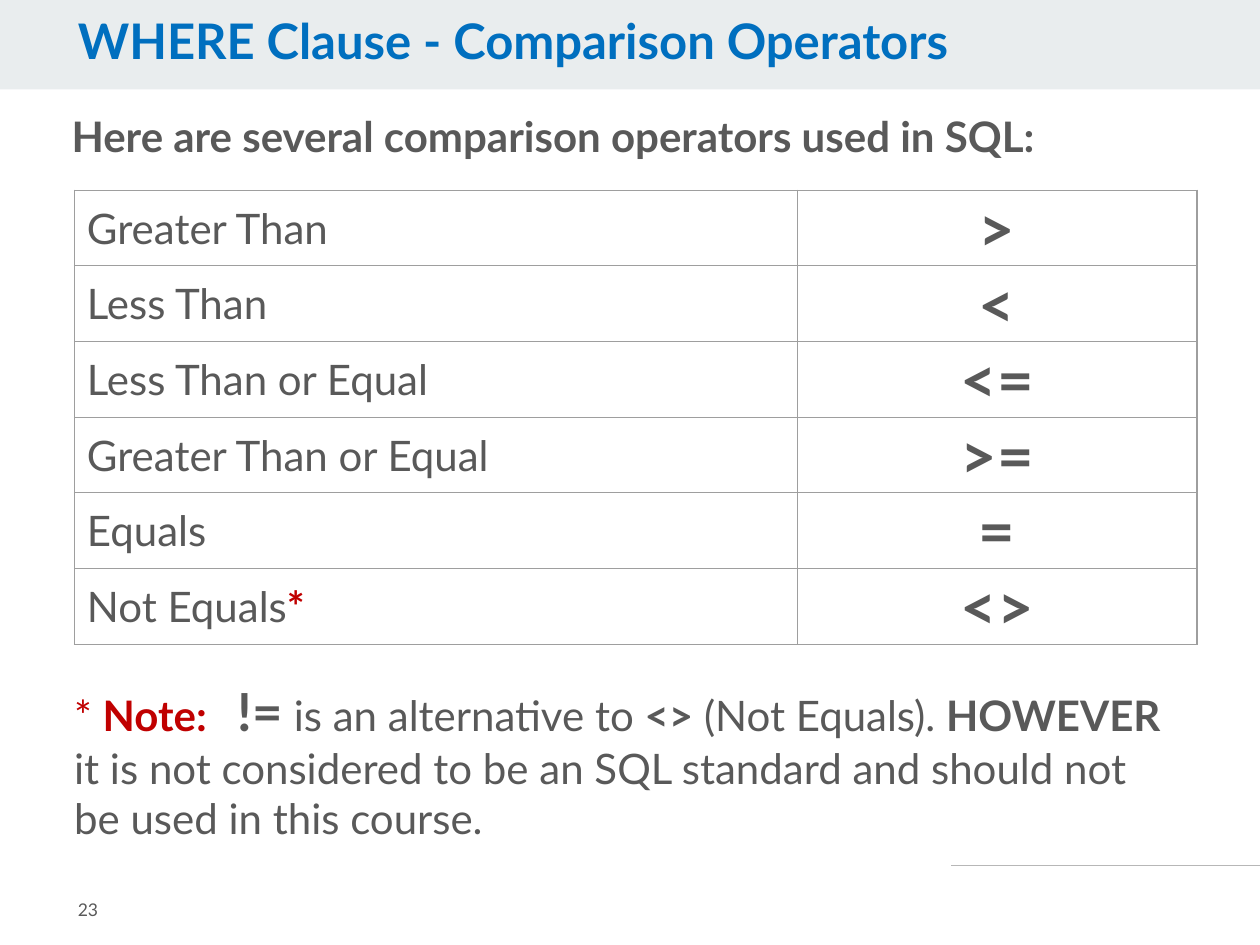
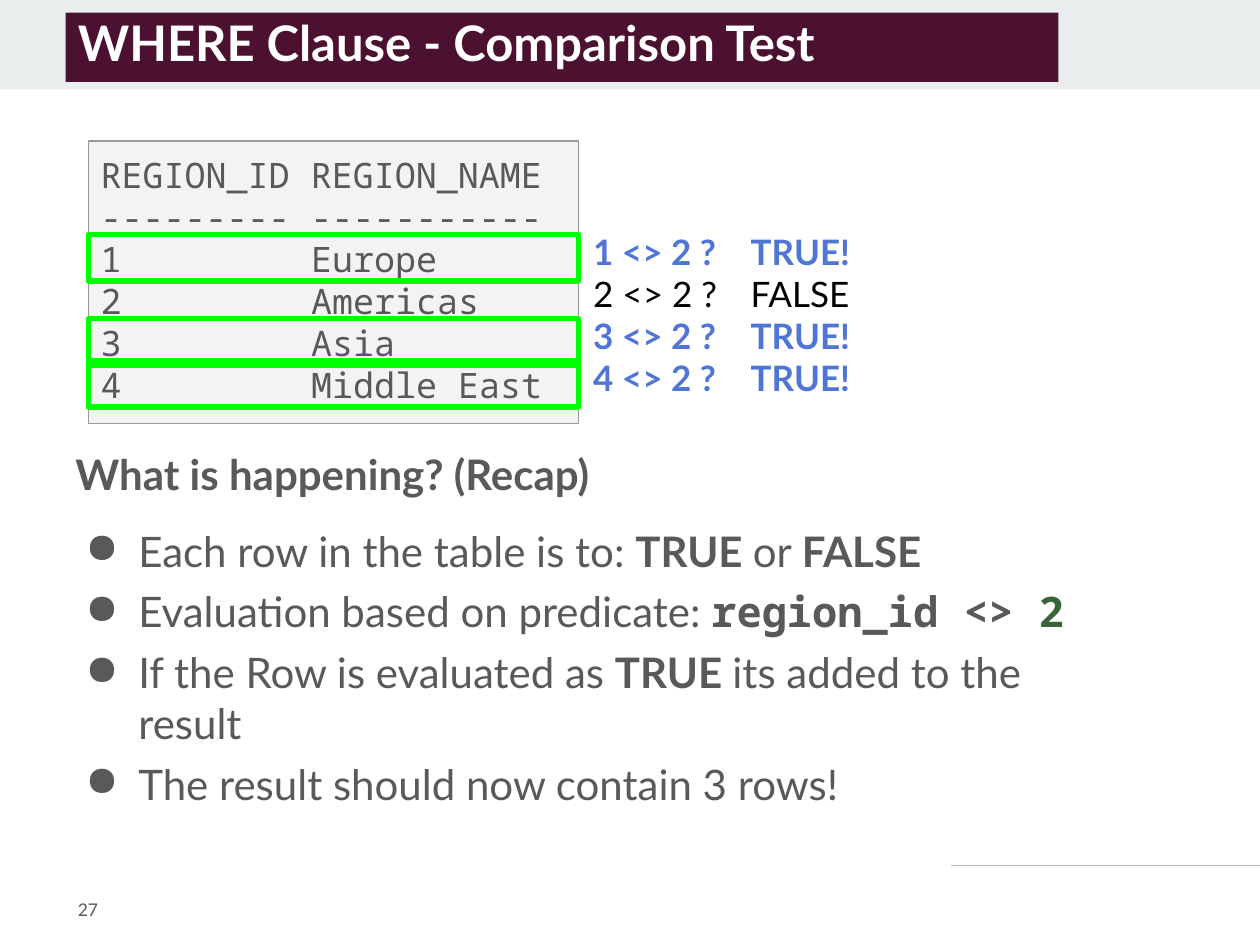
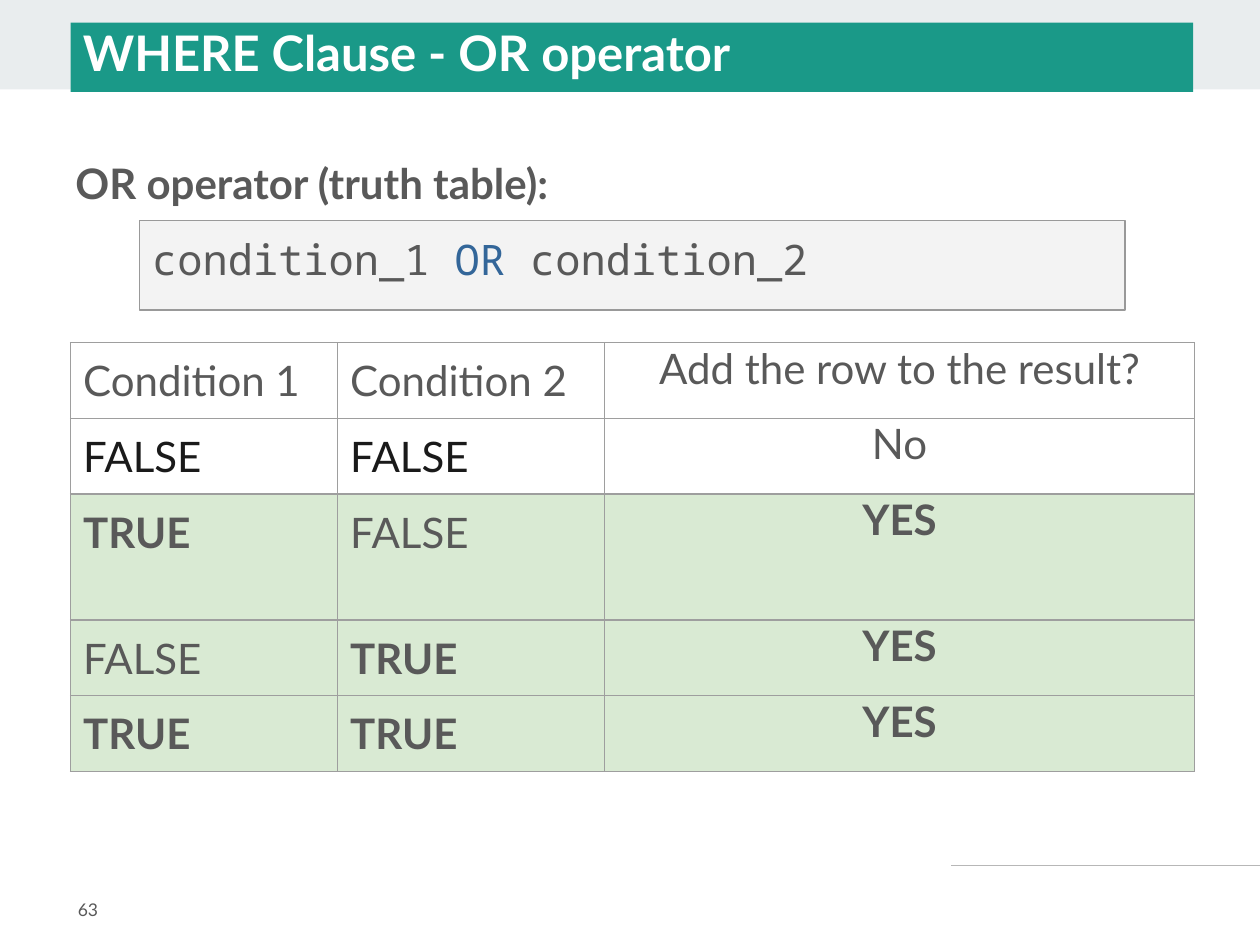
"""Builds three SQL lecture slides on WHERE clause operators."""
from lxml import etree
from pptx import Presentation
from pptx import util as u
from pptx.dml.color import RGBColor
from pptx.enum import shapes, text
from pptx.oxml import ns

COLORS = {
    "band": "E9EDEE", "rule": "B7B7B7", "body": "595959", "title": "006FBF",
    "white": "FFFFFF", "plum": "4C1130", "teal": "1A9988", "red": "C00000",
    "code_fill": "F3F3F3", "code_line": "999999", "grid": "9E9E9E",
    "mark": "00FF00", "true": "4F75D6", "black": "000000", "ink": "1A1A1A",
    "number": "396539", "keyword": "336699", "yes": "D9EAD3",
}
SANS, MONO = "Lato", "Noto Sans Mono"
BOLD = {"bold": True}


def rgb(name):
    return RGBColor.from_string(COLORS[name])


def add_xml(parent, tag, **attributes):
    return etree.SubElement(parent, ns.qn(tag), attributes)


class Lecture:
    """Holds the deck style and the current page."""

    def __init__(self):
        self.deck = Presentation()
        self.deck.slide_width, self.deck.slide_height = u.Inches(10), u.Inches(7.5)
        self.page = None

    def start_page(self, title, number, place, color="title", fill=None):
        self.page = self.deck.slides.add_slide(self.deck.slide_layouts[6])
        rule = self.page.shapes.add_connector(
            shapes.MSO_CONNECTOR.STRAIGHT, *map(u.Inches, (7.55, 6.87, 10, 6.87)))
        rule.line.color.rgb, rule.line.width = rgb("rule"), u.Pt(0.75)
        add_xml(rule._element.spPr, "a:effectLst")
        self.rectangle((0, 0, 10, 0.71), fill="band")
        box = self.rectangle(place, fill) if fill else self.box(place)
        self.fill_box(box, [{"spans": [title], "line_spacing": 0.9}],
                      {"size": 28, "bold": True, "color": color}, inset=0.05)
        footer = self.box((0.52, 6.93, 1.23, 0.57))
        self.fill_box(footer, [{"spans": [str(number)]}], {"size": 10},
                      anchor=text.MSO_ANCHOR.MIDDLE)

    def box(self, place):
        return self.page.shapes.add_textbox(*map(u.Inches, place))

    def rectangle(self, place, fill=None, line=None, width=0.75):
        shape = self.page.shapes.add_shape(
            shapes.MSO_SHAPE.RECTANGLE, *map(u.Inches, place))
        shape.shadow.inherit = False
        if fill:
            shape.fill.solid()
            shape.fill.fore_color.rgb = rgb(fill)
        else:
            shape.fill.background()
        if line:
            shape.line.color.rgb, shape.line.width = rgb(line), u.Pt(width)
        else:
            shape.line.fill.background()
        return shape

    def fill_box(self, box, paragraphs, style=None, inset=0.1,
                 anchor=text.MSO_ANCHOR.TOP):
        frame = box.text_frame
        formats = {"word_wrap": True, "vertical_anchor": anchor,
                   "margin_left": u.Inches(0.1), "margin_right": u.Inches(0.1),
                   "margin_top": u.Inches(inset), "margin_bottom": u.Inches(inset)}
        for name, value in formats.items():
            setattr(frame, name, value)
        for index, entry in enumerate(paragraphs):
            para = frame.add_paragraph() if index else frame.paragraphs[0]
            self.fill_paragraph(para, style=style, **entry)

    def fill_paragraph(self, para, spans, style=None, tab=None, bullet=False, **formats):
        properties = para._p.get_or_add_pPr()
        if bullet:
            properties.set("marL", str(u.Inches(0.5)))
            properties.set("indent", str(u.Inches(-0.42)))
            add_xml(add_xml(properties, "a:buClr"), "a:srgbClr", val=COLORS["body"])
            add_xml(properties, "a:buChar", char="●")
        if tab:
            stops = add_xml(properties, "a:tabLst")
            add_xml(stops, "a:tab", pos=str(u.Inches(tab)), algn="l")
        for name, value in {"alignment": text.PP_ALIGN.LEFT, **formats}.items():
            setattr(para, name, value)
        for item in spans:
            words, changes = (item, {}) if isinstance(item, str) else item
            span = para.add_run()
            span.text = words
            look = {"name": SANS, "size": 24, "bold": False, "color": "body",
                    **(style or {}), **changes}
            span.font.color.rgb = rgb(look.pop("color"))
            look["size"] = u.Pt(look["size"])
            for name, value in look.items():
                setattr(span.font, name, value)

    def text(self, place, paragraphs, style=None, inset=0.1):
        self.fill_box(self.box(place), paragraphs, style, inset)

    def heading(self, left, top, words):
        self.text((left, top, 9.04, 0.55), [{"spans": [words]}], BOLD, 0.05)

    def code(self, place, paragraphs, size):
        panel = self.rectangle(place, "code_fill", "code_line")
        self.fill_box(panel, paragraphs, {"name": MONO, "size": size})

    def table(self, left, top, widths, heights, rows, fills):
        frame = self.page.shapes.add_table(
            len(rows), len(widths),
            *map(u.Inches, (left, top, sum(widths), sum(heights))))
        grid = frame.table
        grid.first_row = grid.horz_banding = False
        for column, width in zip(grid.columns, widths):
            column.width = u.Inches(width)
        for row, height, entries, fill in zip(grid.rows, heights, rows, fills):
            row.height = u.Inches(height)
            for cell, spans in zip(row.cells, entries):
                self.fill_cell(cell, spans, fill, spans is entries[-1])

    def fill_cell(self, cell, spans, fill, centred):
        inset = u.Inches(0 if centred else 0.1)
        cell.margin_left = cell.margin_right = u.Inches(0.1)
        cell.margin_top = cell.margin_bottom = inset
        for side in ("a:lnL", "a:lnR", "a:lnT", "a:lnB"):
            border = add_xml(cell._tc.get_or_add_tcPr(), side, w=str(u.Pt(0.75)))
            add_xml(add_xml(border, "a:solidFill"), "a:srgbClr", val=COLORS["grid"])
        if fill:
            cell.fill.solid()
            cell.fill.fore_color.rgb = rgb(fill)
        else:
            cell.fill.background()
        alignment = text.PP_ALIGN.CENTER if centred else text.PP_ALIGN.LEFT
        self.fill_paragraph(cell.text_frame.paragraphs[0], spans, alignment=alignment)


def comparison_operators(lecture):
    lecture.start_page("WHERE Clause - Comparison Operators", 23, (0.52, 0.09, 8.91, 0.55))
    lecture.heading(0.47, 0.83, "Here are several comparison operators used in SQL:")
    operators = [
        (["Greater Than"], ">"), (["Less Than"], "<"),
        (["Less Than or Equal"], "<="), (["Greater Than or Equal"], ">="),
        (["Equals"], "="),
        (["Not Equals", ("*", {"color": "red", "bold": True})], "<>"),
    ]
    rows = [(label, [(sign, {"size": 36, "bold": True})]) for label, sign in operators]
    lecture.table(0.59, 1.51, [5.74, 3.17], [0.6] * 6, rows, [None] * 6)
    lecture.text((0.49, 5.29, 8.87, 0.76), [{"tab": 1.3, "spans": [
        ("* ", {"color": "red"}), ("Note:\t", {"color": "red", "bold": True}),
        ("!=", {"size": 30, "bold": True}), " is an alternative to ", ("<>", BOLD),
        " (Not Equals). ", ("HOWEVER", BOLD),
        " it is not considered to be an SQL standard and should not be used in this course.",
    ]}])


def comparison_test(lecture):
    lecture.start_page("WHERE Clause - Comparison Test", 27, (0.52, 0.1, 7.88, 0.55),
                       "white", "plum")
    regions = ["Europe", "Americas", "Asia", "Middle East"]
    lines = ["REGION_ID REGION_NAME", "--------- -----------"]
    lines += [f"{number}\t{name}" for number, name in enumerate(regions, 1)]
    lecture.code((0.7, 1.12, 3.89, 2.24),
                 [{"spans": [line], "tab": 1.67} for line in lines], 20)
    bullets = [
        ["Each row in the table is to: ", ("TRUE ", BOLD), "or ", ("FALSE", BOLD)],
        ["Evaluation based on predicate: ",
         ("region_id <> ", {"name": MONO, "bold": True}),
         ("2", {"name": MONO, "bold": True, "color": "number"})],
        ["If the Row is evaluated as ", ("TRUE ", BOLD), "its added to the result"],
        ["The result should now contain 3 rows!"],
    ]
    recap = [{"spans": [("What is happening? (Recap)", BOLD)]}]
    recap += [{"spans": spans, "bullet": True, "space_before": u.Pt(6 if index else 15)}
              for index, spans in enumerate(bullets)]
    lecture.text((0.5, 3.51, 8.5, 2.34), recap, inset=0.05)
    checks = []
    for index in range(len(regions)):
        kept = index != 1
        look = {"color": "true" if kept else "black", "bold": kept}
        answer = "TRUE!" if kept else "FALSE"
        checks.append({"spans": [(f"{index + 1} <> 2 ?\t{answer}", look)], "tab": 1.25})
        if kept:
            lecture.rectangle((0.7, 1.86 + index / 3, 3.89, 0.37), line="mark", width=3)
    lecture.text((4.61, 1.73, 2.56, 1.63), checks, {"size": 20})


def or_operator(lecture):
    lecture.start_page("WHERE Clause - OR operator", 63, (0.56, 0.18, 8.91, 0.55),
                       "white", "teal")
    lecture.heading(0.5, 1.2, "OR operator (truth table):")
    rows = [[["Condition 1"], ["Condition 2"], ["Add the row to the result?"]],
            [[("FALSE", {"color": "ink"})], [("FALSE", {"color": "ink"})], ["No"]]]
    for first, second in ((True, False), (False, True), (True, True)):
        rows.append([[("TRUE", BOLD)] if value else ["FALSE"] for value in (first, second)]
                    + [[("YES", BOLD)]])
    lecture.table(0.56, 2.72, [2.12, 2.12, 4.68], [0.6, 0.6, 1, 0.6, 0.6], rows,
                  [None] * 2 + ["yes"] * 3)
    lecture.code((1.11, 1.75, 7.82, 0.71), [{"spans": [
        "condition_1 ", ("OR ", {"color": "keyword"}), "condition_2"]}], 24)


def main():
    lecture = Lecture()
    for build in (comparison_operators, comparison_test, or_operator):
        build(lecture)
    lecture.deck.save("out.pptx")


if __name__ == "__main__":
    main()
